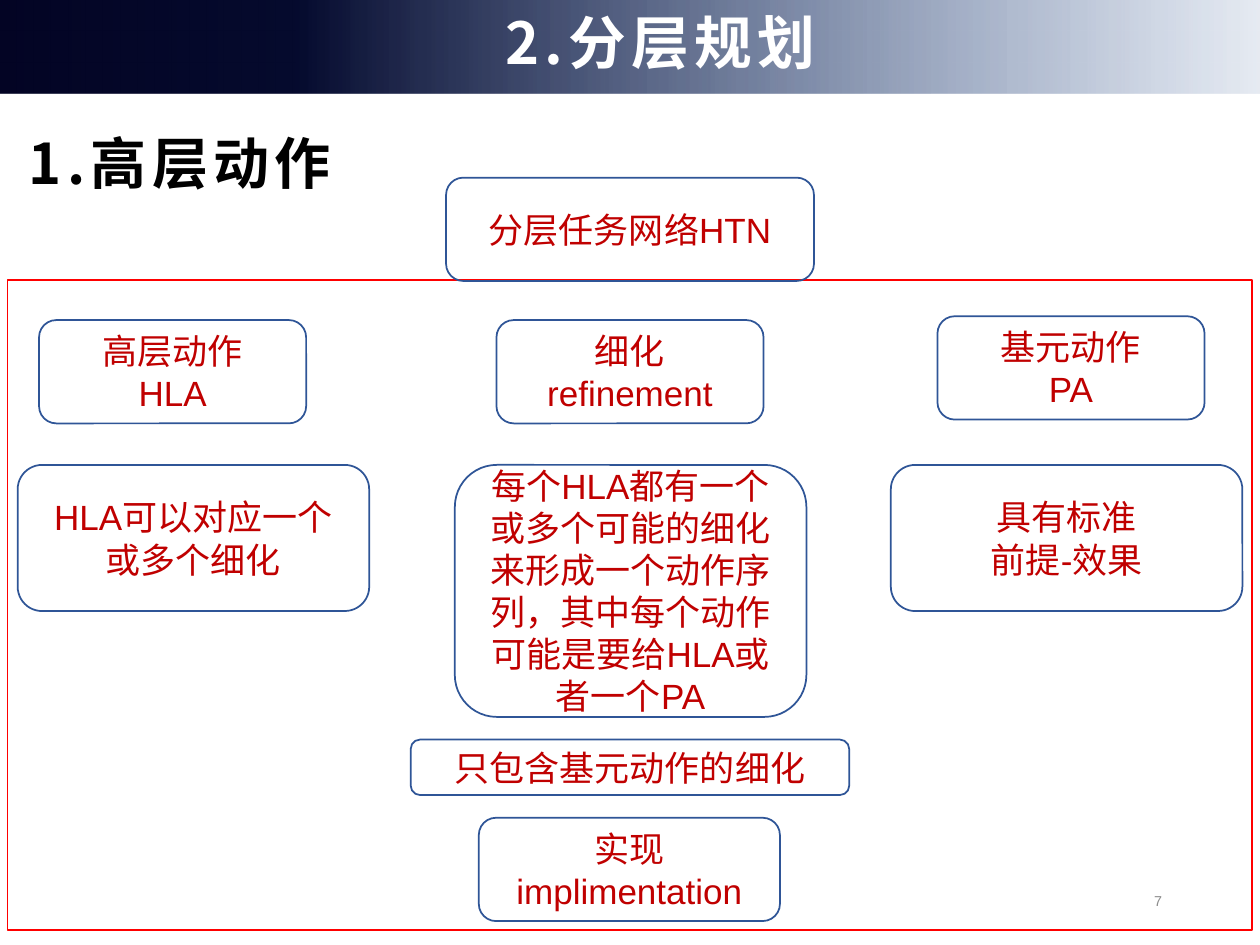
from lxml import etree
from pptx import Presentation
from pptx.dml.color import RGBColor
from pptx.enum.shapes import MSO_SHAPE
from pptx.enum.text import MSO_ANCHOR, PP_ALIGN
from pptx.oxml import parse_xml
from pptx.oxml.ns import nsdecls, qn
from pptx.util import Inches, Pt

WHITE = RGBColor(0xFF, 0xFF, 0xFF)
BLACK = RGBColor(0x00, 0x00, 0x00)
GRAY = RGBColor(0x8C, 0x8C, 0x8C)
DARK_RED = RGBColor(0xC0, 0x00, 0x00)
RED = RGBColor(0xFF, 0x00, 0x00)
BLUE = RGBColor(0x2F, 0x55, 0x97)
HEADING_FONT = "Noto Sans CJK SC"

deck = Presentation()
deck.slide_width, deck.slide_height = Inches(10), Inches(7.5)
page = deck.slides.add_slide(deck.slide_layouts[6])


def add_outline(kind, place, color):
    shape = page.shapes.add_shape(kind, *map(Inches, place))
    shape.shadow.inherit = False
    shape.fill.background()
    shape.line.color.rgb = color
    shape.line.width = Pt(1)
    return shape


def write_text(box, lines, align, color, font="Arial", size=20, bold=False, spacing=0):
    """Fill a box with one paragraph per line; spacing is between letters, in points."""
    frame = box.text_frame
    frame.word_wrap = True
    frame.vertical_anchor = MSO_ANCHOR.MIDDLE
    for index, line in enumerate(lines):
        para = frame.paragraphs[0] if index == 0 else frame.add_paragraph()
        para.alignment = align
        span = para.add_run()
        span.text = line
        span.font.color.rgb = color
        for name, value in {"name": font, "size": Pt(size), "bold": bold}.items():
            setattr(span.font, name, value)
        if spacing:
            properties = span.font._element
            properties.set("spc", str(spacing * 100))
            etree.SubElement(properties, qn("a:ea")).set("typeface", font)
    return frame


# Header band fading to the right
band = page.shapes.add_shape(MSO_SHAPE.RECTANGLE, 0, 0, Inches(10), Inches(0.74))
band.shadow.inherit = False
band.line.fill.background()
band.fill.background()
properties = band._element.spPr
properties.replace(properties.find(qn("a:noFill")), parse_xml(
    f'<a:gradFill {nsdecls("a")} rotWithShape="1"><a:gsLst>'
    '<a:gs pos="0"><a:srgbClr val="030424"/></a:gs>'
    '<a:gs pos="23000"><a:srgbClr val="050A2D"/></a:gs>'
    '<a:gs pos="100000"><a:srgbClr val="164086"><a:alpha val="10000"/></a:srgbClr></a:gs>'
    '</a:gsLst><a:lin ang="0" scaled="0"/></a:gradFill>'))

# Page number, title and heading
number = page.shapes.add_textbox(*map(Inches, (7.07, 6.95, 2.25, 0.4)))
write_text(number, ["7"], PP_ALIGN.RIGHT, GRAY, size=8.2)

title = page.shapes.add_textbox(*map(Inches, (0.93, 0.05, 8.62, 0.62)))
frame = write_text(title, ["2.分层规划"], PP_ALIGN.CENTER, WHITE, HEADING_FONT, 33, True, 3)
frame.paragraphs[0].line_spacing = 0.9

heading = page.shapes.add_textbox(*map(Inches, (0.15, 0.87, 9.71, 5.98)))
frame = write_text(heading, ["1.高层动作"], PP_ALIGN.LEFT, BLACK, HEADING_FONT, 32, True, 3)
frame.vertical_anchor = MSO_ANCHOR.TOP
frame.margin_left, frame.margin_top = Inches(0.08), Inches(0.04)
frame.paragraphs[0].line_spacing = 1.2

# Frame around everything below the root
add_outline(MSO_SHAPE.RECTANGLE, (0.06, 2.22, 9.88, 5.16), RED)

# Task network: the root, three columns, then the implementation
nodes = [
    ((3.54, 1.41, 2.92, 0.82), ["分层任务网络HTN"]),
    ((0.31, 2.54, 2.12, 0.82), ["高层动作", "HLA"]),
    ((3.94, 2.54, 2.12, 0.82), ["细化refinement"]),
    ((7.44, 2.51, 2.12, 0.82), ["基元动作", "PA"]),
    ((0.14, 3.69, 2.79, 1.16), ["HLA可以对应一个或多个细化"]),
    ((3.61, 3.69, 2.79, 2), ["每个HLA都有一个或多个可能的细化来形成一个动作序列，"
                             "其中每个动作可能是要给HLA或者一个PA"]),
    ((7.07, 3.69, 2.79, 1.16), ["具有标准", "前提-效果"]),
    ((3.26, 5.87, 3.48, 0.44), ["只包含基元动作的细化"]),
    ((3.8, 6.49, 2.39, 0.82), ["实现", "implimentation"]),
]
for place, lines in nodes:
    node = add_outline(MSO_SHAPE.ROUNDED_RECTANGLE, place, BLUE)
    write_text(node, lines, PP_ALIGN.CENTER, DARK_RED)

deck.save("out.pptx")
